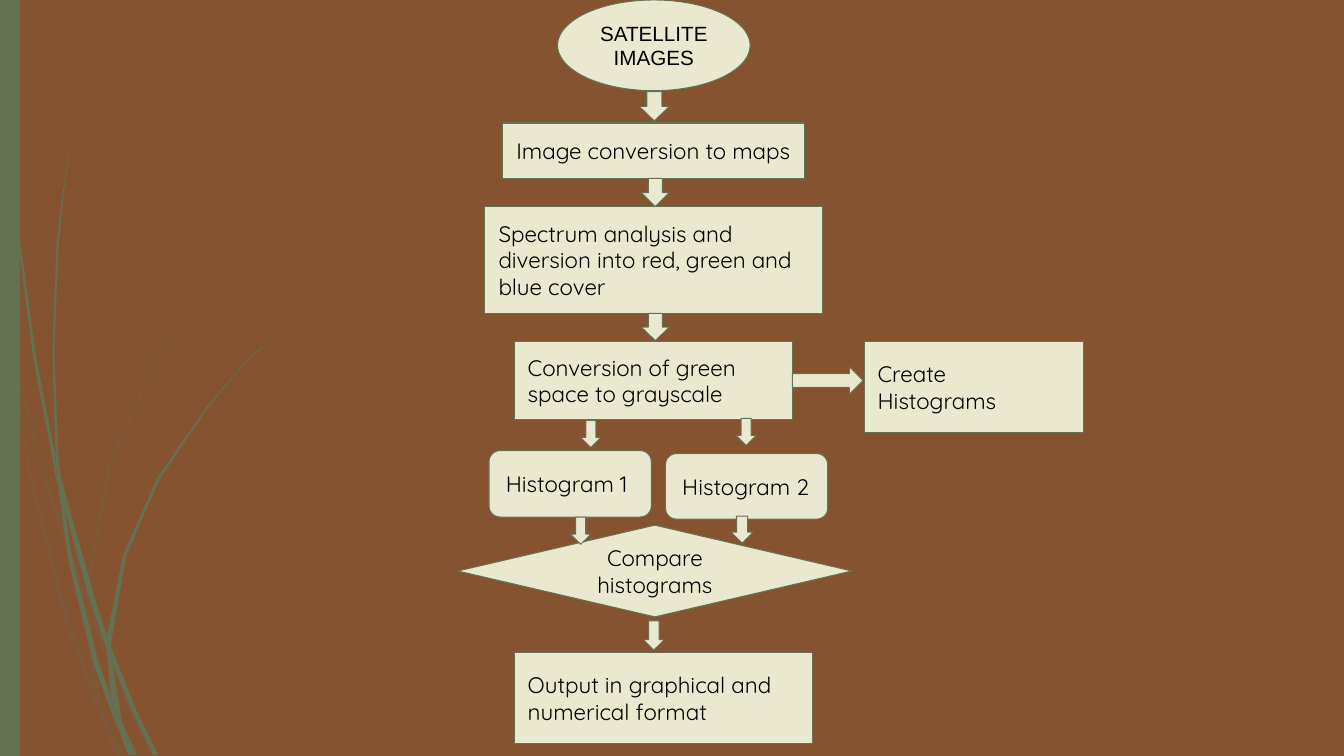
"""Build the slide with the flow chart of satellite image analysis."""
import dataclasses

import pptx
import pptx.dml.color
import pptx.enum.shapes
import pptx.enum.text
import pptx.oxml
import pptx.oxml.ns
import pptx.util

Inches = pptx.util.Inches
Kind = pptx.enum.shapes.MSO_SHAPE
Align = pptx.enum.text.PP_ALIGN


@dataclasses.dataclass(frozen=True)
class Theme:
    ground: str = "865331"
    green: str = "647252"
    cream: str = "EAE8CF"
    ink: str = "000000"
    font: str = "Quicksand"
    head_font: str = "Arial"
    size: float = 16
    head_size: float = 14.7
    line: float = 0.75
    inset: float = 9.7
    faint: int = 20


THEME = Theme()

FAINT = [
    [(0.11, 3.5), (0.09, 3.22), (0, 2.82), (0, 2.99), (0.1, 3.44)],
    [(0.58, 5.22), (0.84, 5.99), (0.85, 5.86), (0.62, 5.2), (0.36, 4.4), (0.14, 3.45),
     (0.17, 3.76), (0.36, 4.5)],
    [(0.92, 6.07), (0.88, 5.96), (0.88, 6.1), (1.23, 6.94), (1.5, 7.5), (1.55, 7.5),
     (1.27, 6.92)],
    [(1.19, 7.5), (1.24, 7.5), (1.05, 7.11)],
    [(0.93, 6.83), (0.7, 6.19), (0.31, 4.69), (0.17, 3.76), (0.11, 3.5), (0.28, 4.7),
     (0.65, 6.21), (0.92, 6.93), (1.01, 7.14), (0.99, 7.07)],
    [(0.84, 5.99), (0.87, 6.46), (0.93, 6.83), (0.96, 6.92), (1.05, 7.11), (1.03, 7.06),
     (0.91, 6.46), (0.88, 6.1), (0.88, 6.08)],
    [(0.88, 5.84), (1.1, 4.62), (1.6, 3.49), (2.29, 2.45), (2.68, 1.98), (2.9, 1.75),
     (3.12, 1.54), (3.12, 1.53), (2.89, 1.75), (2.68, 1.97), (2.28, 2.44), (1.58, 3.48),
     (1.07, 4.61), (0.85, 5.84), (0.85, 5.86), (0.88, 5.96)],
    [(1.01, 7.14), (1.14, 7.5), (1.19, 7.5)],
    [(0.88, 6.08), (0.88, 6.1), (0.88, 5.96), (0.85, 5.86), (0.84, 5.99)],
    [(0.96, 6.92), (0.93, 6.83), (0.99, 7.07), (1.01, 7.14), (1.19, 7.5), (1.05, 7.11)],
]
SOLID = [
    [(0.07, 1.1), (0.17, 2.33), (0.33, 3.55), (0.56, 4.77), (0.57, 4.81), (0.55, 4.57),
     (0.55, 4.53), (0.36, 3.55), (0.19, 2.32), (0.08, 1.09), (0.05, 0.48), (0.04, 0),
     (0.03, 0), (0.04, 0.48)],
    [(0.88, 5.92), (1.06, 6.45), (1.06, 6.33), (1.06, 6.31), (0.93, 5.9), (0.6, 4.72),
     (0.64, 5.05)],
    [(1.13, 6.49), (1.1, 6.41), (1.11, 6.56), (1.32, 7.08), (1.52, 7.49), (1.57, 7.49),
     (1.36, 7.06)],
    [(1.1, 6.91), (0.98, 6.57), (0.72, 5.56), (0.64, 5.05), (0.57, 4.77), (0.68, 5.57),
     (0.93, 6.59), (1.11, 7.08), (1.17, 7.22), (1.16, 7.17)],
    [(0.6, 4.72), (0.58, 4.53), (0.54, 3.49), (0.58, 2.45), (0.63, 1.93), (0.7, 1.41),
     (0.62, 1.93), (0.56, 2.45), (0.52, 3.49), (0.55, 4.49)],
    [(1.33, 7.49), (1.36, 7.49), (1.22, 7.19)],
    [(0.57, 4.77), (0.64, 5.05), (0.6, 4.72), (0.55, 4.49), (0.55, 4.53)],
    [(1.11, 6.33), (1.25, 5.52), (1.58, 4.76), (2.05, 4.06), (2.31, 3.74), (2.45, 3.59),
     (2.61, 3.44), (2.6, 3.44), (2.45, 3.58), (2.31, 3.73), (2.04, 4.05), (1.56, 4.74),
     (1.22, 5.51), (1.06, 6.31), (1.1, 6.41)],
    [(1.17, 7.22), (1.27, 7.49), (1.31, 7.49)],
    [(1.06, 6.45), (1.1, 6.91), (1.16, 7.06), (1.22, 7.19), (1.21, 7.16), (1.11, 6.56),
     (1.09, 6.51)],
    [(1.06, 6.45), (1.09, 6.51), (1.11, 6.56), (1.1, 6.41), (1.06, 6.31), (1.06, 6.33)],
    [(1.16, 7.06), (1.1, 6.91), (1.16, 7.17), (1.17, 7.22), (1.3, 7.49), (1.33, 7.49),
     (1.22, 7.19)],
]
STEPS = [
    (Kind.RECTANGLE, 4.98, 1.22, 3, 0.55, "Image conversion to maps", Align.CENTER),
    (Kind.RECTANGLE, 4.81, 2.05, 3.35, 1.06,
     "Spectrum analysis and diversion into red, green and blue cover", Align.LEFT),
    (Kind.RECTANGLE, 5.1, 3.39, 2.76, 0.77,
     "Conversion of green space to grayscale", Align.LEFT),
    (Kind.ROUNDED_RECTANGLE, 4.85, 4.47, 1.61, 0.66, "Histogram 1", Align.LEFT),
    (Kind.ROUNDED_RECTANGLE, 6.6, 4.5, 1.61, 0.65, "Histogram 2", Align.LEFT),
    (Kind.RECTANGLE, 8.57, 3.39, 2.18, 0.9, "Create Histograms", Align.LEFT),
    (Kind.DIAMOND, 4.54, 5.21, 3.91, 0.91, "Compare histograms", Align.CENTER),
    (Kind.RECTANGLE, 5.1, 6.47, 2.96, 0.91,
     "Output in graphical and numerical format", Align.LEFT),
]
DOWN = [
    (6.34, 0.91, 0.3, 0.29), (6.36, 1.77, 0.28, 0.28), (6.36, 3.11, 0.28, 0.27),
    (5.76, 4.17, 0.2, 0.27), (7.3, 4.15, 0.2, 0.27), (5.66, 5.13, 0.2, 0.27),
    (7.25, 5.12, 0.22, 0.27), (6.38, 6.16, 0.21, 0.29),
]


def rgb(code):
    """Turn a hex code into a colour."""
    return pptx.dml.color.RGBColor.from_string(code)


def paint(shape, fill, line=None):
    """Set the fill and outline of a shape and drop its shadow."""
    shape.shadow.inherit = False
    shape.fill.solid()
    shape.fill.fore_color.rgb = rgb(fill)
    if line:
        shape.line.color.rgb = rgb(line)
        shape.line.width = pptx.util.Pt(THEME.line)
    else:
        shape.line.fill.background()


def fade(shape, share):
    """Make the fill of a shape show at a share of full strength, in percent."""
    tone = shape.element.spPr.find(".//" + pptx.oxml.ns.qn("a:srgbClr"))
    alpha = pptx.oxml.parse_xml(
        f'<a:alpha {pptx.oxml.ns.nsdecls("a")} val="{share * 1000}"/>')
    tone.append(alpha)


def add_blade(slide, edge, share=None):
    """Draw a piece of a blade of grass from its edge points."""
    first, *rest = [(Inches(x), Inches(y)) for x, y in edge]
    pen = slide.shapes.build_freeform(*first)
    pen.add_line_segments(rest, close=True)
    blade = pen.convert_to_shape()
    paint(blade, THEME.green)
    if share:
        fade(blade, share)


def add_node(slide, kind, left, top, width, height):
    """Add a cream shape with a green outline."""
    node = slide.shapes.add_shape(
        kind, Inches(left), Inches(top), Inches(width), Inches(height))
    paint(node, THEME.cream, THEME.green)
    return node


def add_step(slide, kind, left, top, width, height, text, align,
             font=THEME.font, size=THEME.size):
    """Add a step of the flow with its label."""
    frame = add_node(slide, kind, left, top, width, height).text_frame
    frame.word_wrap = True
    frame.vertical_anchor = pptx.enum.text.MSO_ANCHOR.MIDDLE
    inset = pptx.util.Pt(THEME.inset)
    frame.margin_left = frame.margin_right = inset
    frame.margin_top = frame.margin_bottom = inset
    frame.text = text
    label = frame.paragraphs[0]
    label.alignment = align
    for run in label.runs:
        run.font.name = font
        run.font.size = pptx.util.Pt(size)
        run.font.color.rgb = rgb(THEME.ink)


def main():
    """Build and save the slide."""
    deck = pptx.Presentation()
    deck.slide_width, deck.slide_height = Inches(13.33), Inches(7.5)
    slide = deck.slides.add_slide(deck.slide_layouts[6])
    slide.background.fill.solid()
    slide.background.fill.fore_color.rgb = rgb(THEME.ground)
    for edge in FAINT:
        add_blade(slide, edge, THEME.faint)
    for edge in SOLID:
        add_blade(slide, edge)
    bar = slide.shapes.add_shape(Kind.RECTANGLE, 0, 0, Inches(0.2), deck.slide_height)
    paint(bar, THEME.green)
    add_step(slide, Kind.OVAL, 5.53, 0, 1.91, 0.9, "SATELLITE IMAGES", Align.CENTER,
             THEME.head_font, THEME.head_size)
    for step in STEPS:
        add_step(slide, *step)
    for place in DOWN:
        add_node(slide, Kind.DOWN_ARROW, *place)
    add_node(slide, Kind.RIGHT_ARROW, 7.86, 3.64, 0.7, 0.27)
    deck.save("out.pptx")


if __name__ == "__main__":
    main()
